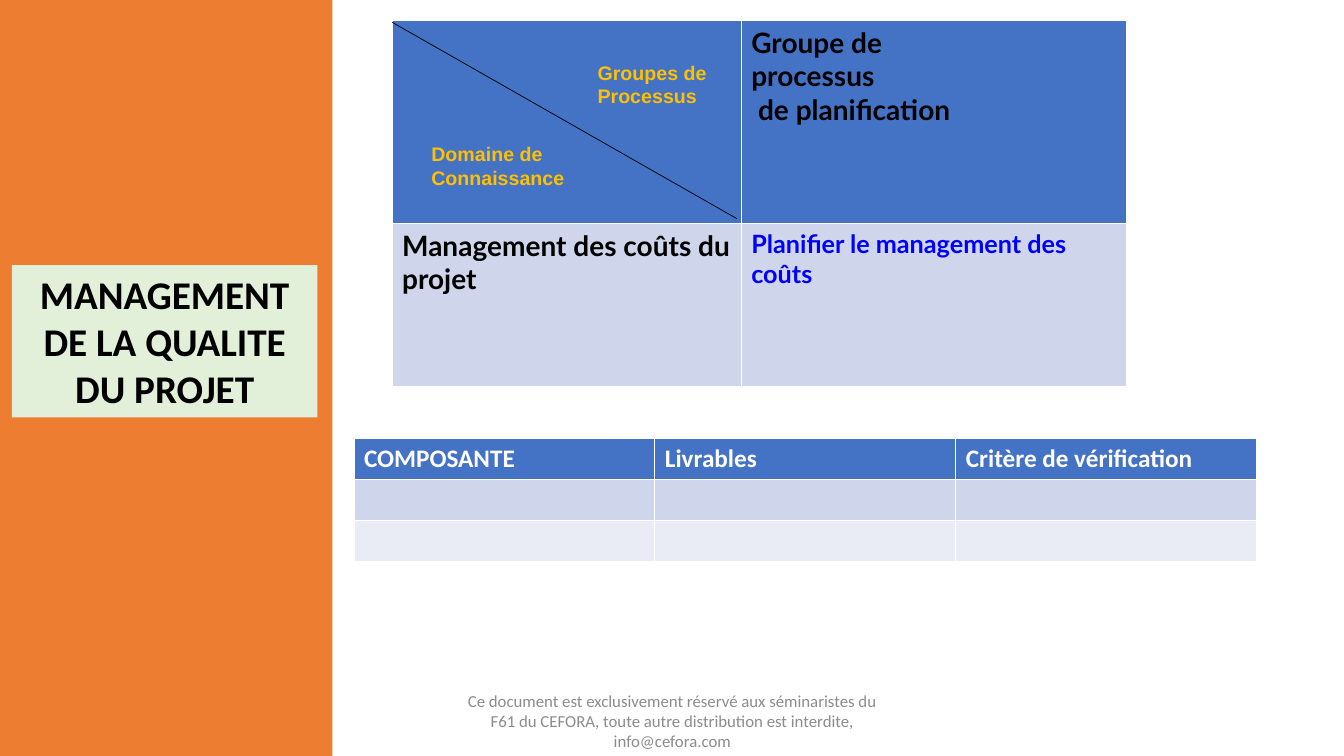
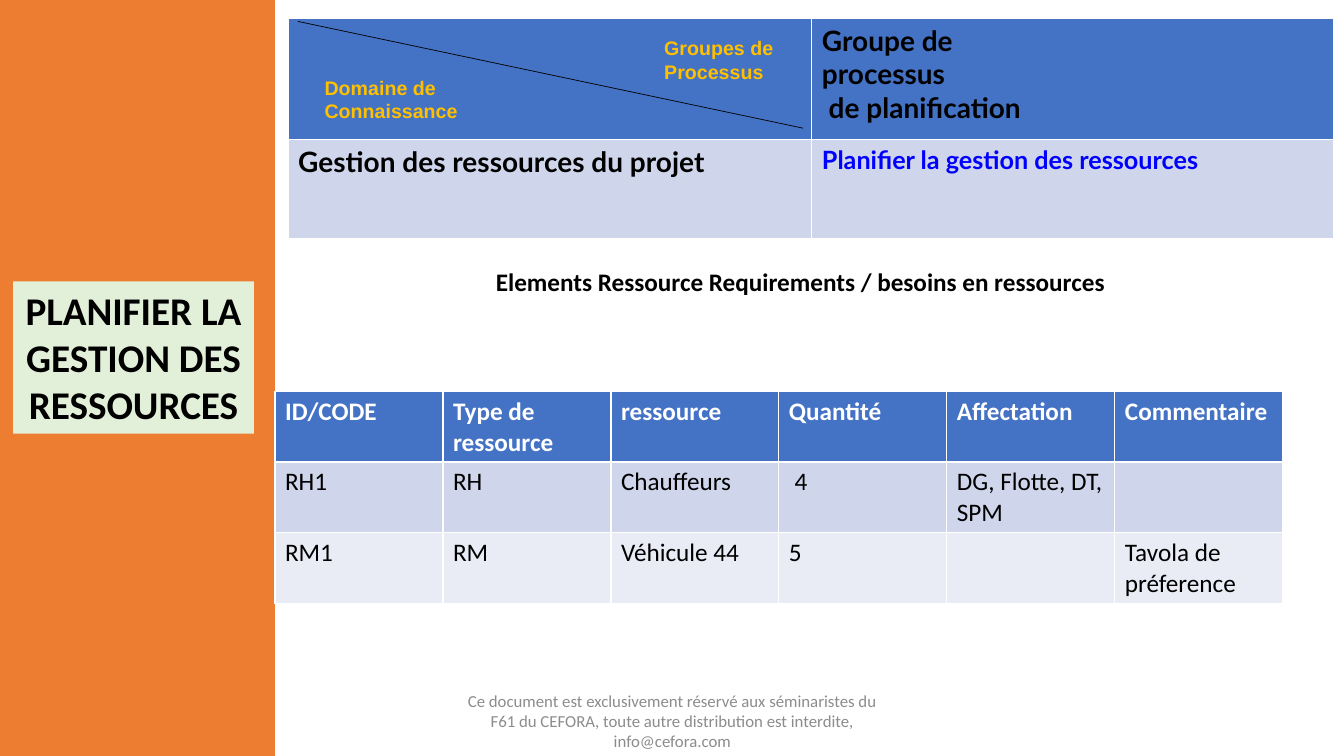
import pptx
import pptx.util
import pptx.dml.color
import pptx.enum.shapes
import pptx.enum.text
import pptx.oxml.ns
import lxml.etree

Cm = pptx.util.Cm
Pt = pptx.util.Pt
RGBColor = pptx.dml.color.RGBColor
CENTER = pptx.enum.text.PP_ALIGN.CENTER

# Shared colours and fonts
ORANGE = RGBColor(0xED, 0x7D, 0x31)
MINT = RGBColor(0xE2, 0xF0, 0xD9)
BLUE = RGBColor(0x44, 0x72, 0xC4)
PALE = RGBColor(0xCF, 0xD5, 0xEA)
LIGHT = RGBColor(0xE9, 0xEB, 0xF5)
GOLD = RGBColor(0xFF, 0xC0, 0x00)
LINK = RGBColor(0x00, 0x00, 0xFF)
GREY = RGBColor(0x8C, 0x8C, 0x8C)
BLACK = RGBColor(0, 0, 0)
WHITE = RGBColor(0xFF, 0xFF, 0xFF)
BODY = "Calibri"
GRID = "Lato"
LABEL = "Arial"

WIDE, HIGH = 33.87, 19.05
FOOT = ("Ce document est exclusivement réservé aux séminaristes du F61 du "
        "CEFORA, toute autre distribution est interdite, info@cefora.com")
GROUP = "Groupe de \vprocessus\v de planification"


def style(para, size, color, bold=False, face=BODY):
    font = para.font
    font.name, font.size, font.bold = face, Pt(size), bold
    font.color.rgb = color


def block(slide, box, fill):
    rect = pptx.enum.shapes.MSO_SHAPE.RECTANGLE
    shape = slide.shapes.add_shape(rect, *map(Cm, box))
    shape.shadow.inherit = False
    shape.fill.solid()
    shape.fill.fore_color.rgb = fill
    shape.line.fill.background()
    return shape


def write(slide, box, text):
    frame = slide.shapes.add_textbox(*map(Cm, box)).text_frame
    frame.word_wrap = True
    frame.text = text
    return frame


def side(slide, wide, box, title):
    """Orange band with the title box on it."""
    block(slide, (0, 0, wide, HIGH), ORANGE)
    frame = block(slide, box, MINT).text_frame
    frame.word_wrap = True
    frame.vertical_anchor = pptx.enum.text.MSO_ANCHOR.TOP
    frame.text = title
    para = frame.paragraphs[0]
    para.alignment = CENTER
    style(para, 28, BLACK, True)


def footer(slide):
    frame = write(slide, (11.23, 17.65, 11.43, 1.02), FOOT)
    frame.vertical_anchor = pptx.enum.text.MSO_ANCHOR.MIDDLE
    para = frame.paragraphs[0]
    para.alignment = CENTER
    style(para, 12, GREY)


def table(slide, left, top, cols, rows):
    frame = slide.shapes.add_table(
        len(rows), len(cols), Cm(left), Cm(top), Cm(sum(cols)), Cm(sum(rows)))
    grid = frame.table
    for col, wide in zip(grid.columns, cols):
        col.width = Cm(wide)
    for row, high in zip(grid.rows, rows):
        row.height = Cm(high)
    return grid


def put(cell, text, fill, *look):
    cell.fill.solid()
    cell.fill.fore_color.rgb = fill
    cell.text = text
    style(cell.text_frame.paragraphs[0], *look)


def label(slide, left, top, wide, text):
    frame = write(slide, (left, top, wide, 2.06), text)
    for para in frame.paragraphs:
        para._p.get_or_add_pPr().set("marL", str(Cm(2.24)))
        style(para, 14, GOLD, True, LABEL)


def matrix(slide, left, top, cols, rows, line, group, domain, topic, task):
    """Domain and process grid; line and labels are offsets in the box."""
    grid = table(slide, left, top, cols, rows)
    head = (20, BLACK, True, GRID)
    put(grid.cell(0, 0), "", BLUE, *head)
    put(grid.cell(0, 1), GROUP, BLUE, *head)
    put(grid.cell(1, 0), topic, PALE, *head)
    put(grid.cell(1, 1), task, PALE, 18, LINK, True, GRID)

    # Diagonal of the corner cell
    x1, y1, x2, y2 = line
    slash = slide.shapes.add_connector(
        pptx.enum.shapes.MSO_CONNECTOR.STRAIGHT,
        Cm(left + x1), Cm(top + y1), Cm(left + x2), Cm(top + y2))
    slash.line.color.rgb = BLACK
    slash.line.width = Pt(0.5)
    lxml.etree.SubElement(slash._element.spPr,
                          pptx.oxml.ns.qn("a:effectLst"))

    label(slide, left + group[0], top + group[1], 6,
          "Groupes de\nProcessus")
    label(slide, left + domain[0], top + domain[1], 6.6,
          "Domaine de\nConnaissance")


def sheet(slide, left, top, wide, high, data):
    """Header row and banded rows, all cells of equal size."""
    count = len(data[0])
    grid = table(slide, left, top, [wide / count] * count,
                 [high / len(data)] * len(data))
    for r, row in enumerate(data):
        fill = BLUE if r == 0 else PALE if r % 2 else LIGHT
        color = WHITE if r == 0 else BLACK
        for c, text in enumerate(row):
            put(grid.cell(r, c), text, fill, 18, color, r == 0)


def cost(slide):
    side(slide, 8.38, (0.3, 6.68, 7.7, 3.84),
         "MANAGEMENT DE LA QUALITE DU PROJET")
    matrix(slide, 9.88, 0.51, (8.8, 9.7), (5.12, 4.1),
           (0, 0.05, 8.69, 5), (2.69, 0.89), (-1.5, 2.95),
           "Management des coûts du projet",
           "Planifier le management des coûts")
    sheet(slide, 8.92, 11.05, 22.75, 3.09, [
        ("COMPOSANTE", "Livrables", "Critère de vérification"),
        ("", "", ""),
        ("", "", ""),
    ])
    footer(slide)


def staff(slide):
    side(slide, 6.93, (0.33, 7.09, 6.07, 3.84),
         "PLANIFIER LA GESTION DES RESSOURCES")
    matrix(slide, 7.26, 0.46, (13.2, 13.16), (3.05, 2.51),
           (0.25, 0.08, 12.98, 2.77), (6.99, 0.33), (-1.57, 1.32),
           "Gestion des ressources du projet",
           "Planifier la gestion des ressources")
    sheet(slide, 6.93, 9.86, 25.4, 5.34, [
        ("ID/CODE", "Type de ressource", "ressource", "Quantité",
         "Affectation", "Commentaire"),
        ("RH1", "RH", "Chauffeurs", " 4", "DG, Flotte, DT, SPM", ""),
        ("RM1", "RM", "Véhicule 44", "5", "", "Tavola de préference"),
    ])
    # Heading of the resource table
    para = write(slide, (11.07, 6.58, 18.21, 1.02),
                 "Elements Ressource Requirements / besoins en ressources"
                 ).paragraphs[0]
    para.alignment = CENTER
    style(para, 18, BLACK, True)
    footer(slide)


def main():
    deck = pptx.Presentation()
    deck.slide_width, deck.slide_height = Cm(WIDE), Cm(HIGH)
    for build in (cost, staff):
        build(deck.slides.add_slide(deck.slide_layouts[6]))
    deck.save("out.pptx")


if __name__ == "__main__":
    main()
